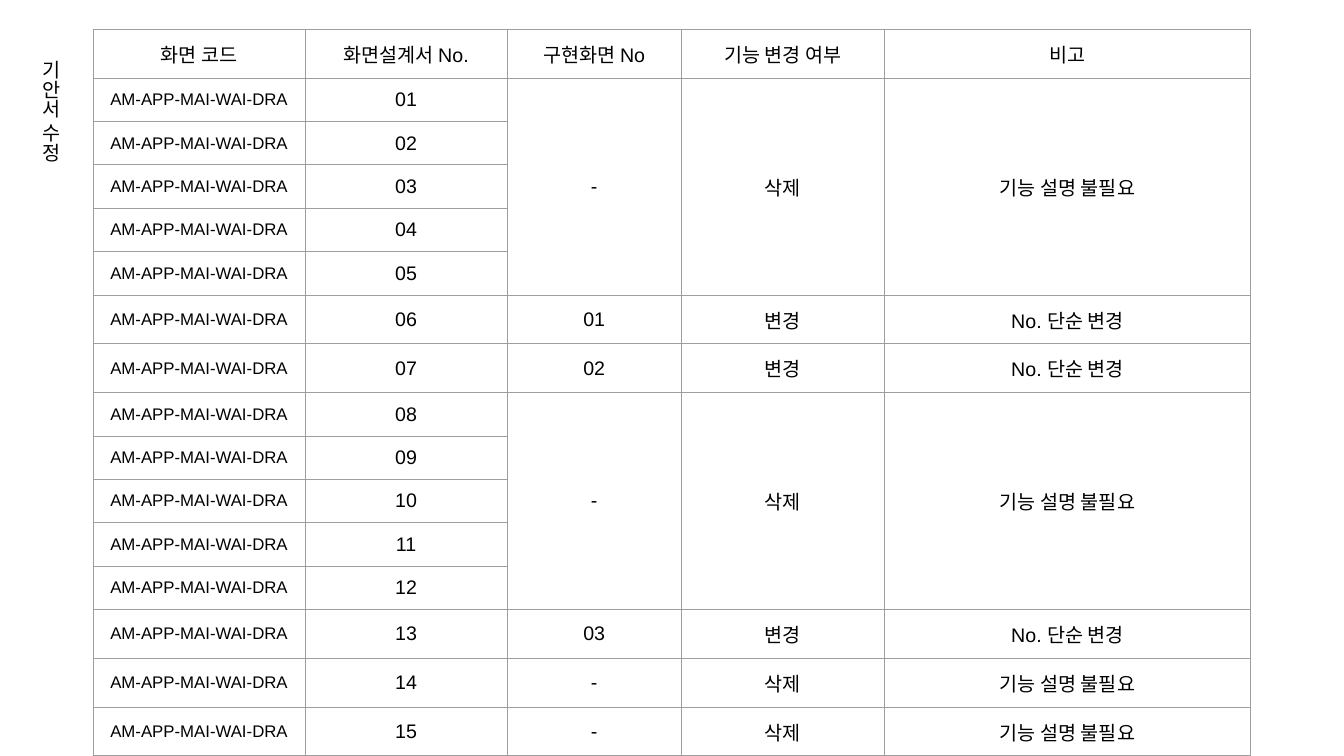
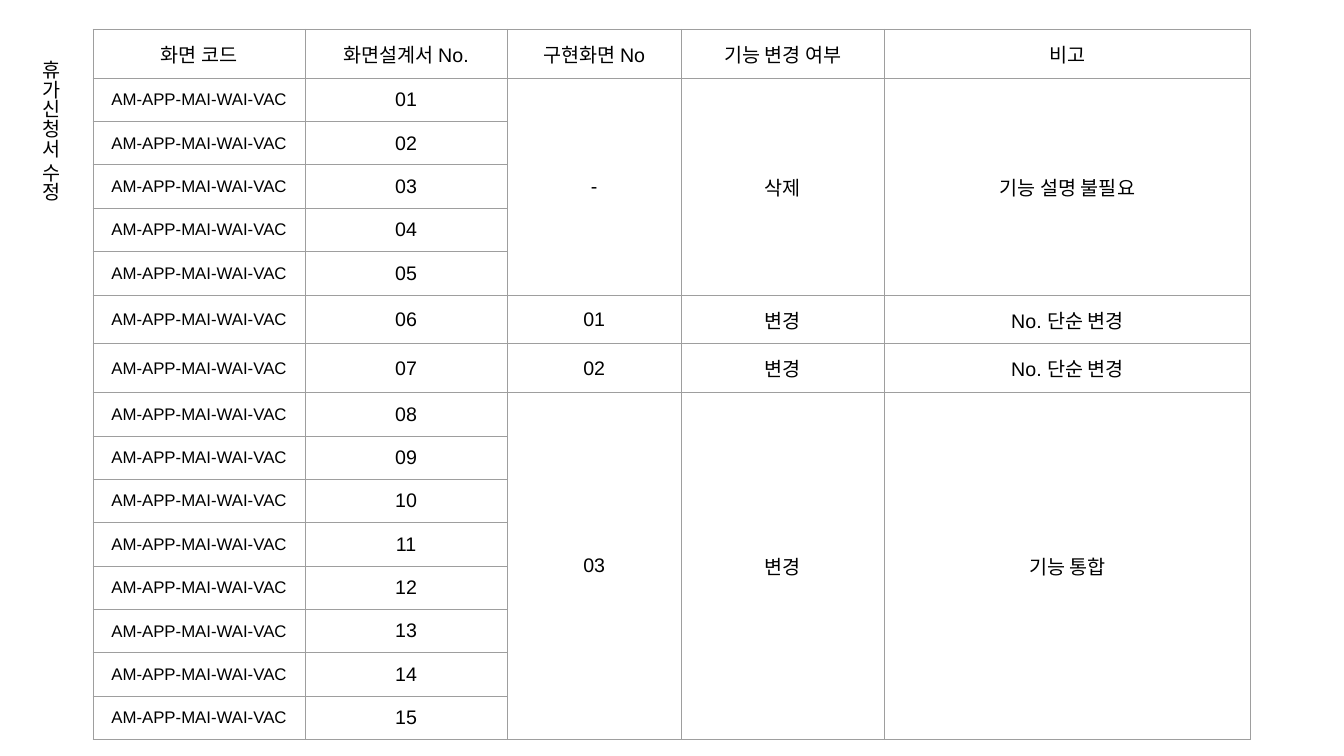
from lxml import etree
from pptx import Presentation
from pptx.dml.color import RGBColor
from pptx.enum import text as t
from pptx.oxml import ns
from pptx.util import Pt

BLACK = RGBColor(0x00, 0x00, 0x00)
GREY = RGBColor(0x9E, 0x9E, 0x9E)
FONT = "Arial"
HEADS = ["화면 코드", "화면설계서 No.", "구현화면 No", "기능 변경 여부", "비고"]
WIDTHS = [151.4, 144.3, 124.5, 145, 261.8]
ROW = 31
PAD = Pt(7.2)

DROP = ("삭제", "기능 설명 불필요")
SHIFT = ("변경", "No. 단순 변경")
MERGE = ("변경", "기능 통합")
START = [(5, "-", *DROP), (1, "01", *SHIFT), (1, "02", *SHIFT)]
PAGES = [
    ("기안서 수정", "AM-APP-MAI-WAI-DRA",
     START + [(5, "-", *DROP), (1, "03", *SHIFT), (1, "-", *DROP), (1, "-", *DROP)]),
    ("휴가신청서 수정", "AM-APP-MAI-WAI-VAC", START + [(8, "03", *MERGE)]),
]


def write(frame, words, size=14, align=None):
    para = frame.paragraphs[0]
    para.alignment = align
    run = para.add_run()
    run.text = words
    run.font.size = Pt(size)
    run.font.name = FONT
    run.font.color.rgb = BLACK


def fill_cell(cell, words, size=14):
    write(cell.text_frame, words, size=size, align=t.PP_ALIGN.CENTER)


def style_cells(frame):
    for cell in frame.table.iter_cells():
        cell.fill.background()
        cell.vertical_anchor = t.MSO_ANCHOR.MIDDLE
        cell.margin_left = cell.margin_right = PAD
        cell.margin_top = cell.margin_bottom = PAD
    for props in frame.element.iter(ns.qn("a:tcPr")):
        for spot, side in enumerate("LRTB"):
            line = etree.Element(ns.qn(f"a:ln{side}"), w=str(Pt(0.75)))
            paint = etree.SubElement(line, ns.qn("a:solidFill"))
            etree.SubElement(paint, ns.qn("a:srgbClr"), val=str(GREY))
            props.insert(spot, line)


def add_grid(slide, left, top, code, groups):
    count = sum(group[0] for group in groups)
    frame = slide.shapes.add_table(
        count + 1, len(HEADS), Pt(left), Pt(top), Pt(sum(WIDTHS)), Pt(ROW * (count + 1)))
    table = frame.table
    table.first_row = table.horz_banding = False
    for col, width in zip(table.columns, WIDTHS):
        col.width = Pt(width)
    for row in table.rows:
        row.height = Pt(ROW)
    style_cells(frame)
    for col, head in enumerate(HEADS):
        fill_cell(table.cell(0, col), head)
    for num in range(1, count + 1):
        fill_cell(table.cell(num, 0), code, size=12)
        fill_cell(table.cell(num, 1), f"{num:02d}")
    first = 1
    for span, *values in groups:
        for col, value in enumerate(values, 2):
            cell = table.cell(first, col)
            if span > 1:
                cell.merge(table.cell(first + span - 1, col))
            fill_cell(cell, value)
        first += span


def add_label(slide, left, top, width, height, words):
    box = slide.shapes.add_textbox(Pt(left), Pt(top), Pt(width), Pt(height))
    frame = box.text_frame
    frame.word_wrap = True
    frame.auto_size = t.MSO_AUTO_SIZE.SHAPE_TO_FIT_TEXT
    box.element.txBody.find(ns.qn("a:bodyPr")).set("vert", "eaVert")
    write(frame, words)


def main():
    deck = Presentation()
    deck.slide_width, deck.slide_height = Pt(960), Pt(540)
    for title, code, groups in PAGES:
        slide = deck.slides.add_slide(deck.slide_layouts[6])
        add_grid(slide, 66.5, 21, code, groups)
        add_label(slide, 16.5, 36, 31.5, 117.5, title)
    deck.save("out.pptx")


if __name__ == "__main__":
    main()
